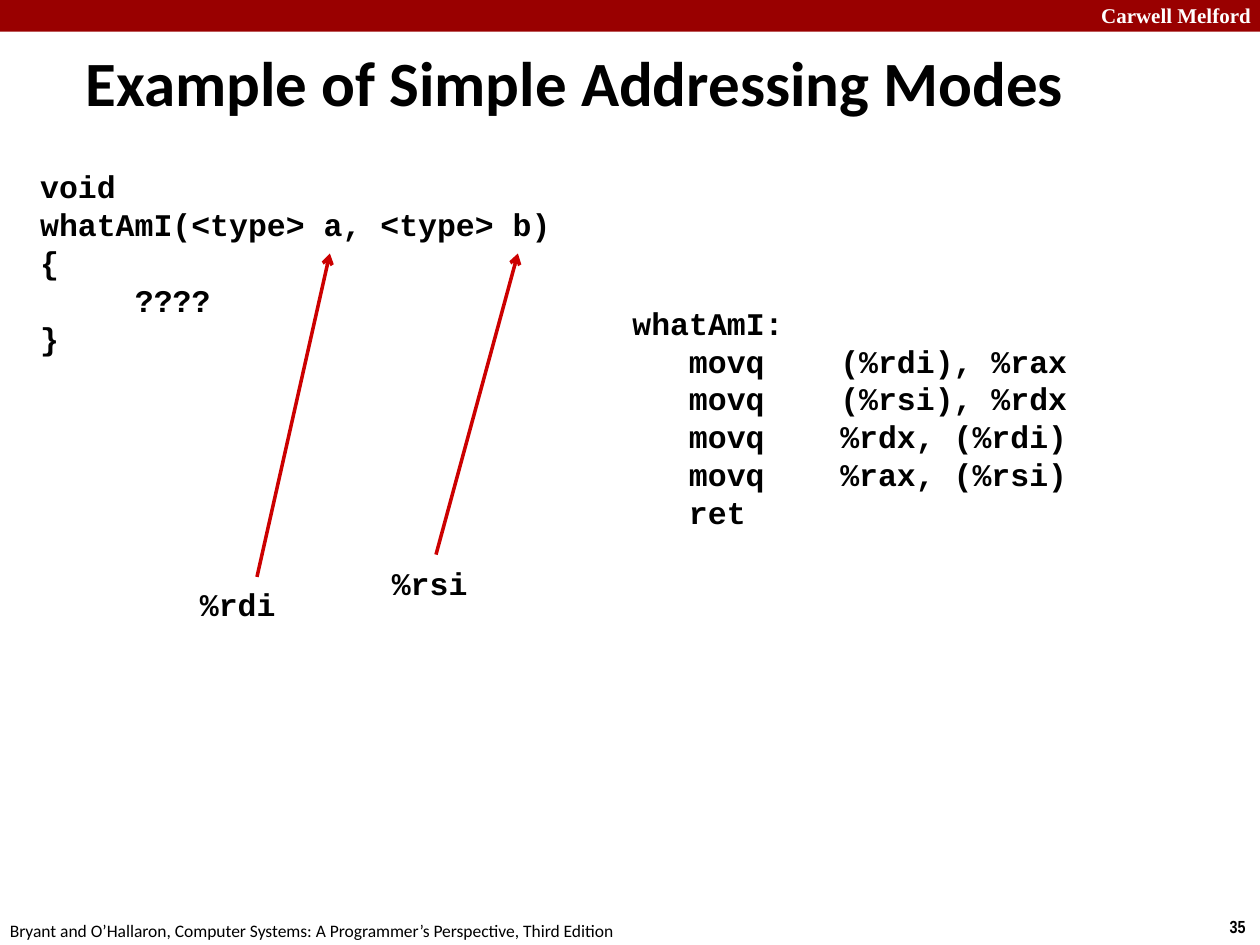
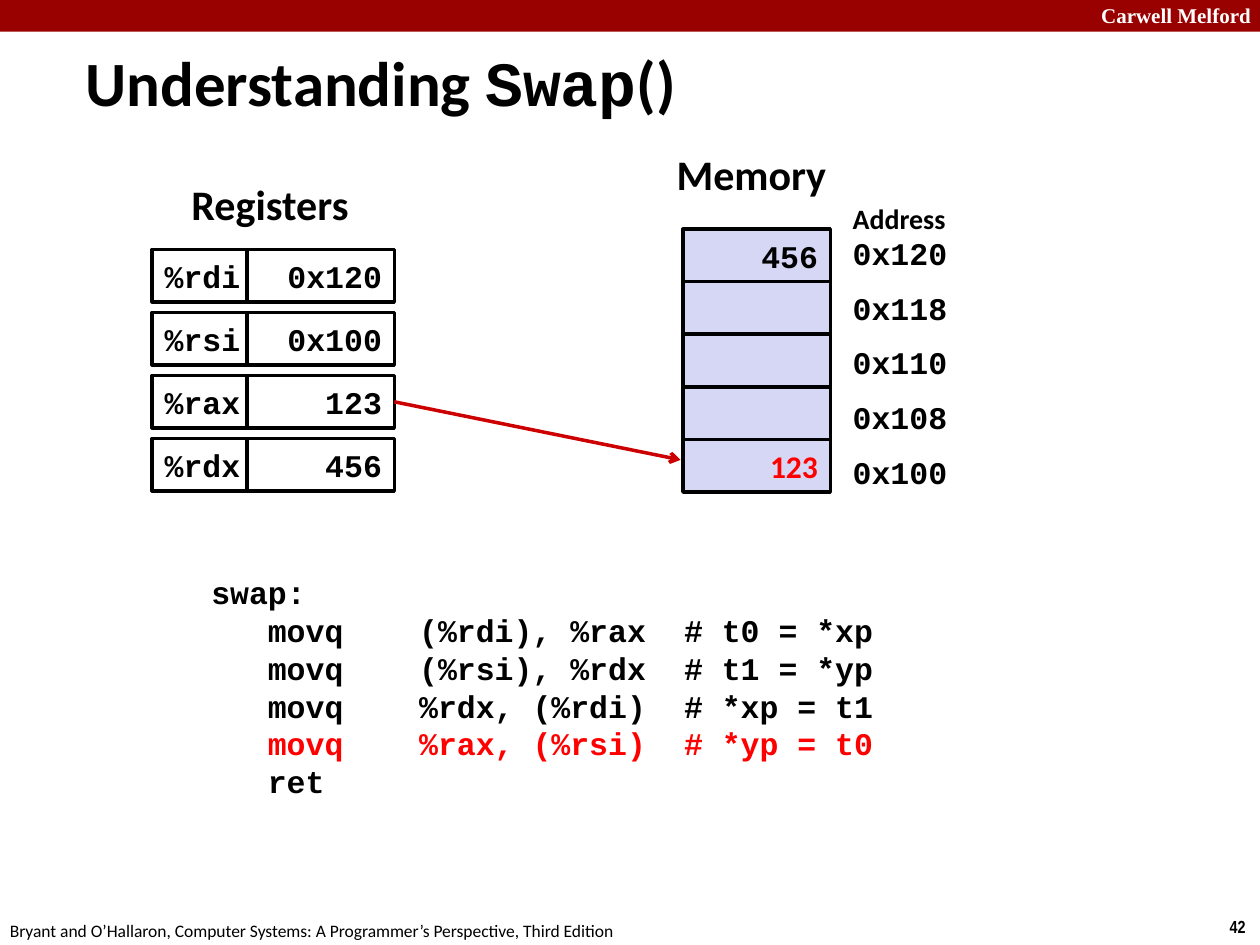
from pptx import Presentation
from pptx.dml.color import RGBColor
from pptx.enum.shapes import MSO_CONNECTOR as Conn, MSO_SHAPE as Shape
from pptx.enum.text import MSO_ANCHOR as Anchor, MSO_AUTO_SIZE as Auto, PP_ALIGN as Align
from pptx.oxml.ns import qn
from pptx.util import Cm, Pt
from lxml.etree import SubElement

BLACK, WHITE, BAND = "000000", "FFFFFF", "990000"
ARROW, MEMORY, HIGHLIGHT = "CC0000", "D6D6F5", "FF0000"
CODE = dict(name="Courier New", size=Pt(18), bold=True)
TITLE = dict(name="Calibri", size=Pt(36), bold=True)
HEADING = dict(TITLE, size=Pt(24))
LABEL = dict(TITLE, size=Pt(16))
VALUE = dict(TITLE, size=Pt(18))
SCHOOL = dict(name="Times New Roman", size=Pt(12), bold=True)
FOOTER = dict(name="Calibri", size=Pt(10), bold=False)
NUMBER = dict(name="Arial Narrow", size=Pt(10), bold=True)
CODE_TABS = (1.14, 4.19, 9.53)
ROW_H = 1.06


def rgb(value):
    return RGBColor.from_string(value)


def add_run(p, text, fmt, color=BLACK):
    r = p.add_run()
    r.text = text
    for key, value in fmt.items():
        setattr(r.font, key, value)
    r.font.color.rgb = rgb(color)


def add_text(s, x, y, w, h, text, fmt, color=BLACK, wrap=True):
    tf = s.shapes.add_textbox(Cm(x), Cm(y), Cm(w), Cm(h)).text_frame
    tf.word_wrap = wrap
    add_run(tf.paragraphs[0], text, fmt, color)


def add_code(s, x, y, w, h, lines, tabs=CODE_TABS, highlighted=None):
    tf = s.shapes.add_textbox(Cm(x), Cm(y), Cm(w), Cm(h)).text_frame
    tf.word_wrap = True
    for i, line in enumerate(lines):
        p = tf.add_paragraph() if i else tf.paragraphs[0]
        p.line_spacing = Pt(21.6)
        tab_list = SubElement(p._p.get_or_add_pPr(), qn("a:tabLst"))
        for stop in tabs:
            SubElement(tab_list, qn("a:tab"), pos=str(Cm(stop)), algn="l")
        add_run(p, line, CODE, HIGHLIGHT if i == highlighted else BLACK)


def add_box(s, x, y, w, h, fill, line=None):
    sp = s.shapes.add_shape(Shape.RECTANGLE, Cm(x), Cm(y), Cm(w), Cm(h))
    sp.shadow.inherit = False
    sp.fill.solid()
    sp.fill.fore_color.rgb = rgb(fill)
    if line:
        sp.line.color.rgb = rgb(line)
        sp.line.width = Pt(2)
    else:
        sp.line.fill.background()
    return sp


def add_cell(s, x, y, w, text, fill=WHITE, align=Align.RIGHT, fmt=CODE, color=BLACK):
    sp = add_box(s, x, y, w, ROW_H, fill, BLACK)
    if text:
        tf = sp.text_frame
        tf.word_wrap = False
        tf.vertical_anchor = Anchor.MIDDLE
        tf.paragraphs[0].alignment = align
        add_run(tf.paragraphs[0], text, fmt, color)


def add_arrow(s, x1, y1, x2, y2):
    line = s.shapes.add_connector(Conn.STRAIGHT, Cm(x1), Cm(y1), Cm(x2), Cm(y2))
    line.line.color.rgb = rgb(ARROW)
    line.line.width = Pt(2)
    SubElement(line.line._get_or_add_ln(), qn("a:tailEnd"), type="arrow")
    SubElement(line._element.spPr, qn("a:effectLst"))


def add_slide(prs, number, title_runs):
    s = prs.slides.add_slide(prs.slide_layouts[5])
    add_box(s, 0, 0, 25.4, 0.64, BAND)
    add_text(s, 21.95, -0.08, 3.63, 0.76, "Carwell Melford", SCHOOL, WHITE)
    add_text(s, 24.54, 18.34, 0.86, 0.69, number, NUMBER, wrap=False)
    add_text(s, -0.05, 18.42, 12.9, 0.69,
             "Bryant and O’Hallaron, Computer Systems: A Programmer’s Perspective, Third Edition",
             FOOTER, wrap=False)
    title = s.shapes.title
    title.left, title.top, title.width, title.height = Cm(1.47), Cm(0.84), Cm(21.29), Cm(1.6)
    tf = title.text_frame
    tf.auto_size = Auto.NONE
    tf.vertical_anchor = Anchor.MIDDLE
    p = tf.paragraphs[0]
    p.alignment = Align.LEFT
    for text, font in title_runs:
        add_run(p, text, dict(TITLE, name=font))
    return s


def addressing_slide(prs):
    s = add_slide(prs, "35", [("Example of Simple Addressing Modes", "Calibri")])
    add_code(s, 12.5, 6, 11.63, 4.88, [
        "whatAmI:",
        "\tmovq\t(%rdi), %rax",
        "\tmovq\t(%rsi), %rdx",
        "\tmovq\t%rdx, (%rdi)",
        "\tmovq\t%rax, (%rsi)",
        "\tret",
    ])
    add_code(s, 0.56, 3.25, 11.28, 4.11,
             ["void", "whatAmI(<type> a, <type> b)", "{", "\t????", "}"], tabs=(1.91,))
    add_arrow(s, 5.18, 11.63, 6.65, 5.11)
    add_text(s, 3.78, 11.66, 3.33, 1.02, "%rdi", CODE)
    add_arrow(s, 8.79, 11.18, 10.44, 5.11)
    add_text(s, 7.65, 11.25, 3.33, 1.02, "%rsi", CODE)


def swap_slide(prs):
    s = add_slide(prs, "42", [("Understanding ", "Calibri"), ("Swap", "Courier New"),
                              ("()", "Calibri")])
    memory = [("0x120", "456"), ("0x118", ""), ("0x110", ""), ("0x108", ""), ("0x100", "123")]
    for i, (address, value) in enumerate(memory):
        changed = address == "0x100"
        add_cell(s, 13.77, 4.62 + i * ROW_H, 2.97, value, MEMORY,
                 fmt=VALUE if changed else CODE, color=HIGHLIGHT if changed else BLACK)
        add_text(s, 16.94, 4.6 + i * 1.1, 3.38, 1.02, address, CODE)
    add_text(s, 16.94, 3.94, 3.38, 0.94, "Address", LABEL)

    registers = [("%rdi", "0x120"), ("%rsi", "0x100"), ("%rax", "123"), ("%rdx", "456")]
    for i, (register, value) in enumerate(registers):
        y = 5.03 + i * 1.27
        add_cell(s, 3.07, y, 1.91, register, align=Align.LEFT)
        add_cell(s, 4.98, y, 2.97, value)

    add_text(s, 3.61, 3.48, 3.76, 1.27, "Registers", HEADING, wrap=False)
    add_text(s, 13.39, 2.87, 3.56, 1.27, "Memory", HEADING, wrap=False)
    add_arrow(s, 7.95, 8.1, 13.72, 9.27)
    add_code(s, 4.01, 11.43, 16.31, 4.88, [
        "swap:",
        "\tmovq\t(%rdi), %rax\t# t0 = *xp",
        "\tmovq\t(%rsi), %rdx\t# t1 = *yp",
        "\tmovq\t%rdx, (%rdi)\t# *xp = t1",
        "\tmovq\t%rax, (%rsi)\t# *yp = t0",
        "\tret",
    ], highlighted=4)


def main():
    prs = Presentation()
    prs.slide_width, prs.slide_height = Cm(25.4), Cm(19.05)
    addressing_slide(prs)
    swap_slide(prs)
    prs.save("out.pptx")


if __name__ == "__main__":
    main()
